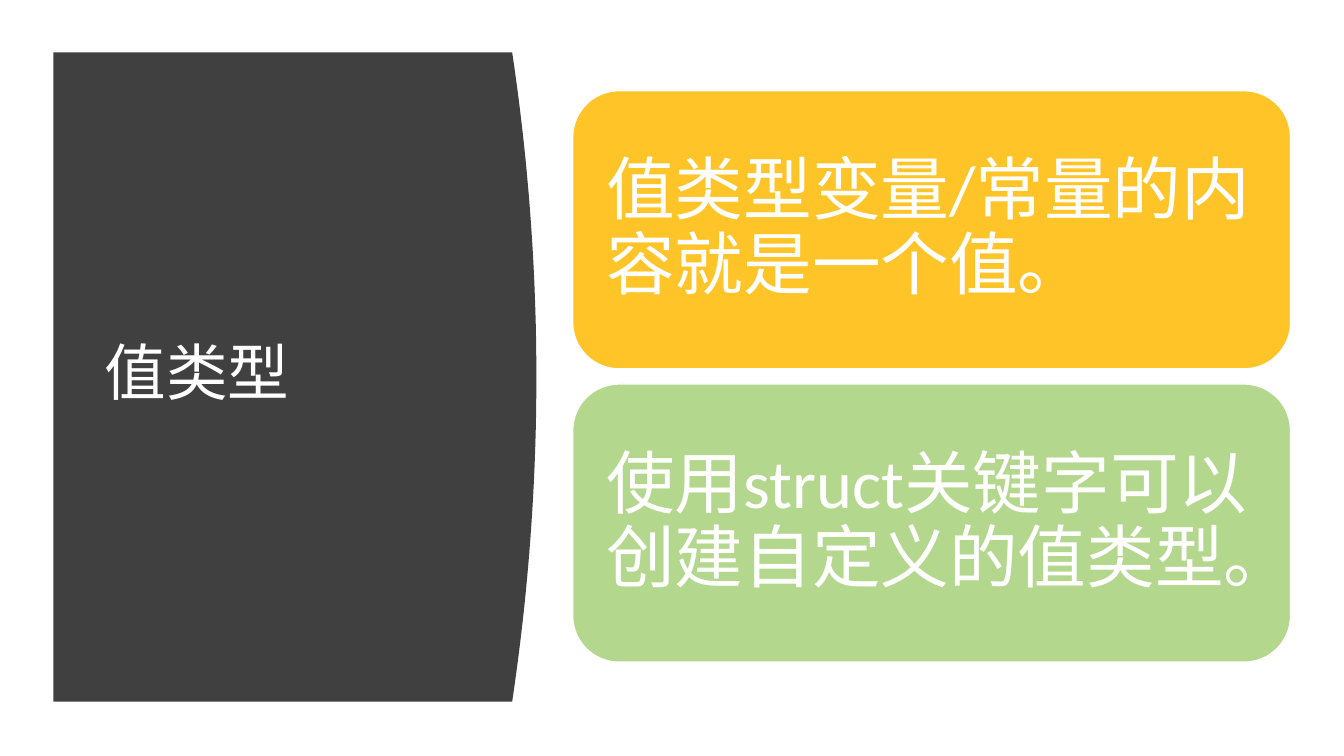
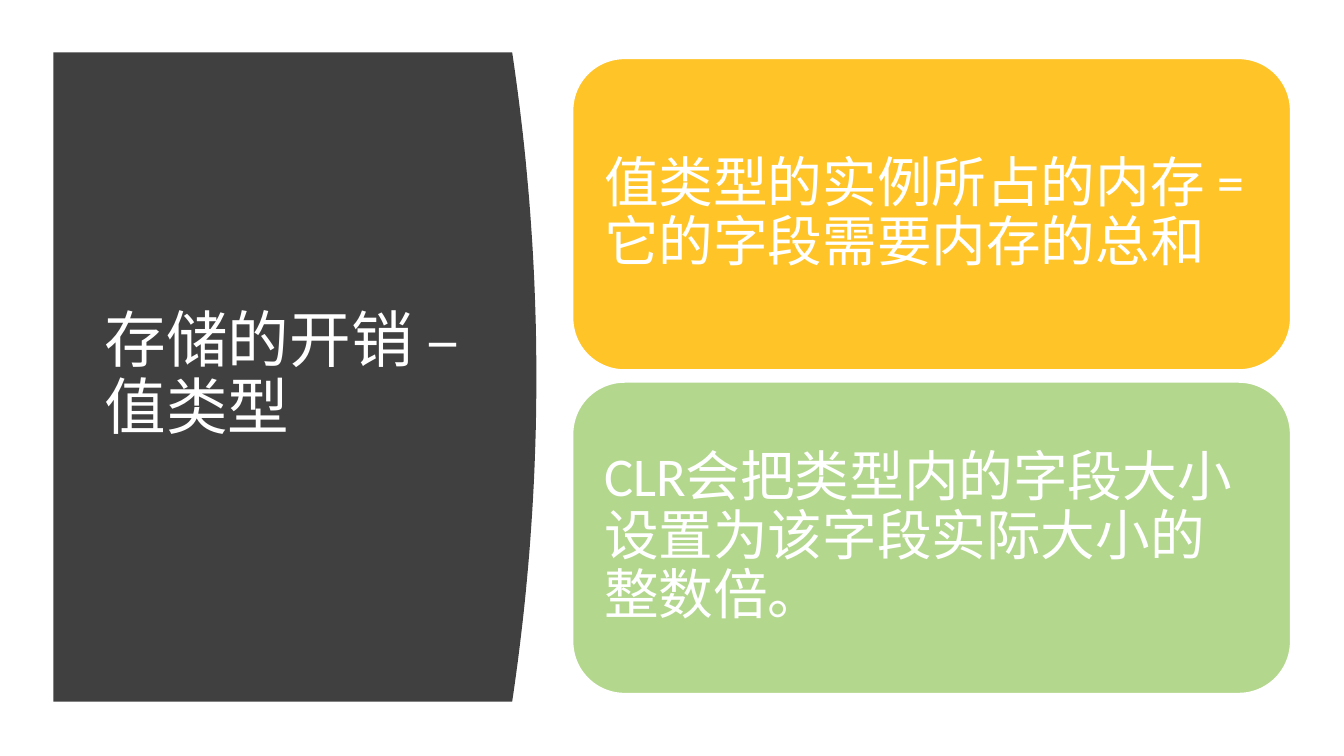
from dataclasses import dataclass

from pptx import Presentation
from pptx.dml.color import RGBColor
from pptx.enum.lang import MSO_LANGUAGE_ID
from pptx.enum.shapes import MSO_SHAPE
from pptx.enum.text import MSO_ANCHOR, PP_ALIGN
from pptx.util import Inches, Pt

ROUND_RECT = MSO_SHAPE.ROUNDED_RECTANGLE
MIDDLE = MSO_ANCHOR.MIDDLE
LEFT = PP_ALIGN.LEFT
CHINESE = MSO_LANGUAGE_ID.SIMPLIFIED_CHINESE


@dataclass(frozen=True)
class Theme:
    panel: RGBColor = RGBColor.from_string("404040")
    white: RGBColor = RGBColor.from_string("FFFFFF")
    cards: tuple = (RGBColor.from_string("FFC427"),
                    RGBColor.from_string("B4D78E"))
    title_font: str = "TeX Gyre Adventor"
    body_font: str = "Calibri"
    title_size: int = 44


THEME = Theme()

# Boxes: left, top, width, height in inches
PANEL_BOX = (0.53, 0.52, 4.79, 6.44)
BULGE = 0.24
CURVE_STEPS = 48

# Title, card texts, and the cards' box, gap, type size and inset
SLIDES = [
    dict(title="值类型",
         texts=["值类型变量/常量的内容就是一个值。",
                "使用struct关键字可以创建自定义的值类型。"],
         box=(5.68, 0.9, 7.12, 5.67), gap=0.15, size=49, inset=0.2),
    dict(title="存储的开销 – 值类型",
         texts=["值类型的实例所占的内存 = 它的字段需要内存的总和",
                "CLR会把类型内的字段大小设置为该字段实际大小的整数倍。"],
         box=(5.68, 0.58, 7.12, 6.3), gap=0.12, size=39, inset=0.16),
]


def write(shape, text, *, font, size, inset=(0.1, 0.05)):
    """Put white, left-aligned, vertically centred text in a shape."""
    tf = shape.text_frame
    tf.word_wrap = True
    tf.vertical_anchor = MIDDLE
    tf.margin_left = tf.margin_right = Inches(inset[0])
    tf.margin_top = tf.margin_bottom = Inches(inset[1])
    p = tf.paragraphs[0]
    p.alignment = LEFT
    p.line_spacing = 0.9
    r = p.add_run()
    r.text = text
    r.font.name = font
    r.font.size = Pt(size)
    r.font.color.rgb = THEME.white
    r.font.language_id = CHINESE


def paint(shape, fill, line=None):
    shape.shadow.inherit = False
    shape.fill.solid()
    shape.fill.fore_color.rgb = fill
    if line is None:
        shape.line.fill.background()
    else:
        shape.line.color.rgb = line
        shape.line.width = Pt(1)


def add_title_panel(s, title, box):
    left, top, width, height = box

    # Dark panel whose right edge bulges as a parabola
    edge = []
    for i in range(CURVE_STEPS + 1):
        t = i / CURVE_STEPS
        x = left + width - BULGE * (2 * t - 1) ** 2
        edge.append((Inches(x), Inches(top + height * t)))
    builder = s.shapes.build_freeform(Inches(left), Inches(top), scale=1.0)
    builder.add_line_segments(edge + [(Inches(left), Inches(top + height))])
    paint(builder.convert_to_shape(), THEME.panel)

    # Title
    sp = s.shapes.add_textbox(Inches(left + 0.41), Inches(top + 0.59),
                              Inches(width - 1.05), Inches(height - 1.2))
    write(sp, title, font=THEME.title_font, size=THEME.title_size)


def add_cards(s, texts, box, gap, size, inset):
    """Stack equal rounded cards to fill the box."""
    left, top, width, height = box
    card_height = (height - gap * (len(texts) - 1)) / len(texts)
    for i, (text, color) in enumerate(zip(texts, THEME.cards)):
        y = top + i * (card_height + gap)
        sp = s.shapes.add_shape(ROUND_RECT, Inches(left), Inches(y),
                                Inches(width), Inches(card_height))
        paint(sp, color, THEME.white)
        write(sp, text, font=THEME.body_font, size=size, inset=(inset, inset))


def add_slide(prs, title, **cards):
    s = prs.slides.add_slide(prs.slide_layouts[6])
    add_title_panel(s, title, PANEL_BOX)
    add_cards(s, **cards)


def main():
    prs = Presentation()
    prs.slide_width = Inches(13.33)
    prs.slide_height = Inches(7.5)
    for content in SLIDES:
        add_slide(prs, **content)
    prs.save("out.pptx")


if __name__ == "__main__":
    main()
